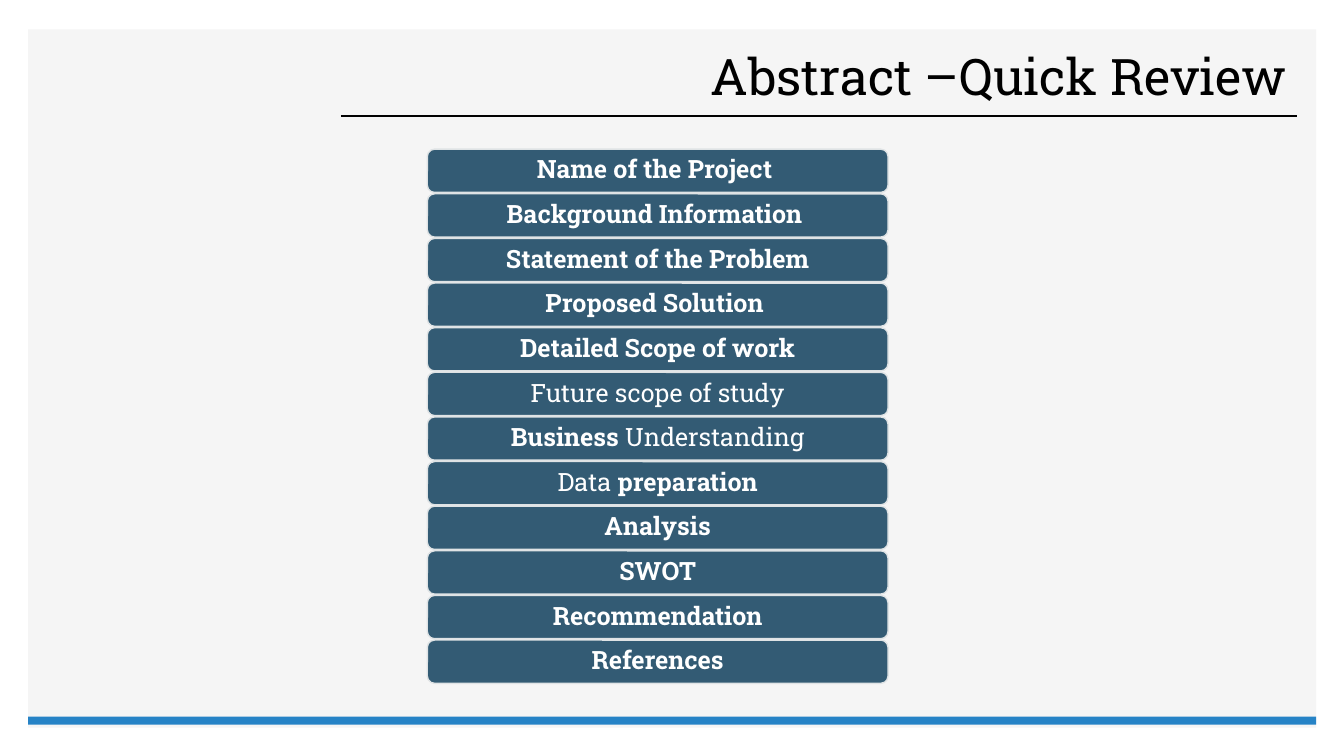
from pptx import Presentation
from pptx.dml.color import RGBColor
from pptx.enum.shapes import MSO_CONNECTOR, MSO_SHAPE
from pptx.enum.text import MSO_ANCHOR, PP_ALIGN
from pptx.oxml.ns import qn
from pptx.util import Cm, Pt
from lxml.etree import SubElement

COLORS = {
    "panel": "F5F5F5",
    "accent": "2683C6",
    "topic": "335B74",
    "topic_edge": "DFE3E5",
    "ink": "000000",
    "white": "FFFFFF",
}
FONT = "Roboto Slab"


def color(key):
    return RGBColor.from_string(COLORS[key])


def style_run(run, size, key, bold=False):
    run.font.name = FONT
    run.font.size = Pt(size)
    run.font.bold = bold
    run.font.color.rgb = color(key)


deck = Presentation()
deck.slide_width, deck.slide_height = Cm(33.87), Cm(19.05)
slide = deck.slides.add_slide(deck.slide_layouts[6])
shapes = slide.shapes

# Background panel and bottom bar
for key, top, height in [("panel", 0.74, 17.6), ("accent", 18.06, 0.2)]:
    band = shapes.add_shape(MSO_SHAPE.RECTANGLE, Cm(0.71), Cm(top), Cm(32.46), Cm(height))
    band.shadow.inherit = False
    band.fill.solid()
    band.fill.fore_color.rgb = color(key)
    band.line.fill.background()

# Rule under the title
title_rule = shapes.add_connector(MSO_CONNECTOR.STRAIGHT, Cm(8.59), Cm(2.92), Cm(32.69), Cm(2.92))
title_rule.line.color.rgb = color("ink")
title_rule.line.width = Pt(1)
SubElement(title_rule._element.spPr, qn("a:effectLst"))

# Title
title = shapes.add_textbox(Cm(9.4), Cm(1.07), Cm(23.29), Cm(1.85)).text_frame
title.word_wrap = True
title.vertical_anchor = MSO_ANCHOR.MIDDLE
title.text = "Abstract –Quick Review"
heading = title.paragraphs[0]
heading.alignment = PP_ALIGN.RIGHT
heading.line_spacing = 0.9
style_run(heading.runs[0], 36, "ink")

# Topics: each is a list of (text, bold) parts
topics = [
    [("Name of the Project ", True)],
    [("Background Information ", True)],
    [("Statement of the Problem", True)],
    [("Proposed Solution ", True)],
    [("Detailed Scope of work", True)],
    [("Future scope of study", False)],
    [("Business", True), (" Understanding", False)],
    [("Data ", False), ("preparation", True)],
    [("Analysis", True)],
    [("SWOT", True)],
    [("Recommendation", True)],
    [("References", True)],
]
first_top, last_top = 3.76, 16.13
pitch = (last_top - first_top) / (len(topics) - 1)

for index, parts in enumerate(topics):
    topic = shapes.add_shape(MSO_SHAPE.ROUNDED_RECTANGLE, Cm(10.77),
                             Cm(first_top + index * pitch), Cm(11.61), Cm(1.09))
    topic.shadow.inherit = False
    topic.fill.solid()
    topic.fill.fore_color.rgb = color("topic")
    topic.line.color.rgb = color("topic_edge")
    topic.line.width = Pt(1)

    frame = topic.text_frame
    frame.word_wrap = True
    frame.vertical_anchor = MSO_ANCHOR.MIDDLE
    frame.margin_left = frame.margin_right = Cm(0.18)
    frame.margin_top = frame.margin_bottom = Cm(0.18)
    label = frame.paragraphs[0]
    label.alignment = PP_ALIGN.CENTER
    label.line_spacing = 0.9
    for text, bold in parts:
        run = label.add_run()
        run.text = text
        style_run(run, 18, "white", bold)

deck.save("out.pptx")
